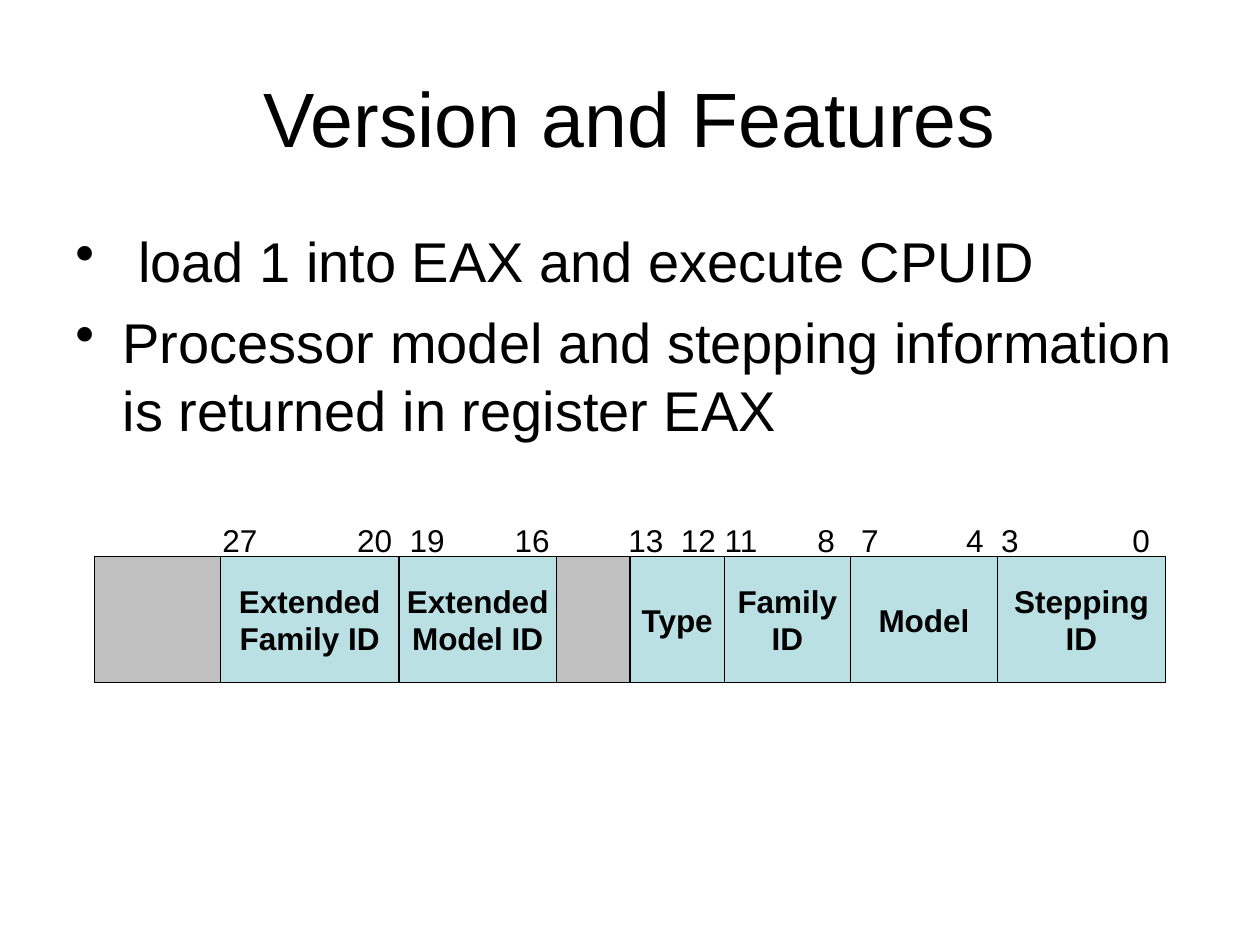
import dataclasses

import pptx
import pptx.dml.color
import pptx.enum.shapes
import pptx.enum.text
import pptx.oxml
import pptx.oxml.ns
import pptx.util

Pt = pptx.util.Pt
RGB = pptx.dml.color.RGBColor.from_string
ALIGN = pptx.enum.text.PP_ALIGN
ANCHOR = pptx.enum.text.MSO_ANCHOR


@dataclasses.dataclass(frozen=True)
class Theme:
    font: str = "Arial"
    ink: str = "000000"
    used: str = "BBE0E3"
    reserved: str = "C0C0C0"
    title: int = 44
    body: int = 32
    label: int = 18
    border: float = 0.75


class RegisterSlide:
    def __init__(self, slide, theme):
        self.slide = slide
        self.theme = theme

    def fill_frame(self, frame, lines, size, bold=False, prepare=None, **paragraph_format):
        """Put lines in a frame; prepare adds XML to each paragraph before its font is set."""
        for index, line in enumerate(lines):
            paragraph = frame.paragraphs[0] if index == 0 else frame.add_paragraph()
            paragraph.text = line
            if prepare:
                prepare(paragraph._p.get_or_add_pPr())
            for name, value in paragraph_format.items():
                if index or name != "space_before":
                    setattr(paragraph, name, value)
            font = {"name": self.theme.font, "size": Pt(size), "bold": bold}
            for name, value in font.items():
                setattr(paragraph.font, name, value)
            paragraph.font.color.rgb = RGB(self.theme.ink)

    def text(self, left, top, width, height, lines, size,
             anchor=ANCHOR.TOP, **options):
        box = self.slide.shapes.add_textbox(Pt(left), Pt(top), Pt(width), Pt(height))
        frame = box.text_frame
        frame.word_wrap = True
        frame.vertical_anchor = anchor
        self.fill_frame(frame, lines, size, **options)

    def bullets(self, left, top, width, height, lines, indent, gap):
        def add_bullet(properties):
            properties.set("marL", str(Pt(indent)))
            properties.set("indent", str(-Pt(indent)))
            add_child(properties, "buChar", char="•")

        self.text(left, top, width, height, lines, self.theme.body,
                  prepare=add_bullet, space_before=Pt(gap))

    def bit_numbers(self, left, top, width, height, numbers, stops):
        """One line of numbers, each after the first at its own tab stop."""
        def add_tabs(properties):
            tabs = add_child(properties, "tabLst")
            for stop in stops:
                add_child(tabs, "tab", pos=str(Pt(stop)), algn="l")

        self.text(left, top, width, height, ["\t".join(map(str, numbers))],
                  self.theme.label, prepare=add_tabs)

    def field(self, left, top, width, height, lines):
        """A register field; one without lines is reserved."""
        cell = self.slide.shapes.add_shape(
            pptx.enum.shapes.MSO_SHAPE.RECTANGLE,
            Pt(left), Pt(top), Pt(width), Pt(height))
        cell.shadow.inherit = False
        cell.fill.solid()
        cell.fill.fore_color.rgb = RGB(self.theme.used if lines else self.theme.reserved)
        cell.line.color.rgb = RGB(self.theme.ink)
        cell.line.width = Pt(self.theme.border)
        cell.text_frame.word_wrap = False
        cell.text_frame.vertical_anchor = ANCHOR.MIDDLE
        self.fill_frame(cell.text_frame, lines, self.theme.label, bold=True,
                        alignment=ALIGN.CENTER)


def add_child(parent, tag, **attributes):
    child = pptx.oxml.parse_xml(f"<a:{tag} {pptx.oxml.ns.nsdecls('a')}/>")
    for name, value in attributes.items():
        child.set(name, value)
    parent.append(child)
    return child


def main():
    deck = pptx.Presentation()
    deck.slide_width, deck.slide_height = Pt(720), Pt(540)
    theme = Theme()
    page = RegisterSlide(deck.slides.add_slide(deck.slide_layouts[6]), theme)

    page.bullets(36, 126, 648, 356, [
        " load 1 into EAX and execute CPUID",
        "Processor model and stepping information is returned in register EAX",
    ], indent=27, gap=8)
    page.text(36, 21.6, 648, 90, ["Version and Features"], theme.title,
              anchor=ANCHOR.MIDDLE, alignment=ALIGN.CENTER)

    fields = [
        (72, []),
        (102, ["Extended", "Family ID"]),
        (90, ["Extended", "Model ID"]),
        (42, []),
        (54, ["Type"]),
        (72, ["Family", "ID"]),
        (84, ["Model"]),
        (96, ["Stepping", "ID"]),
    ]
    left = 54
    for width, lines in fields:
        page.field(left, 318, width, 72, lines)
        left += width

    page.bit_numbers(120, 294, 546, 29,
                     [27, 20, 19, 16, 13, 12, 11, 8, 7, 4, 3, 0],
                     [77, 107, 167, 232, 262, 287, 340, 365, 425, 445, 520])
    deck.save("out.pptx")


if __name__ == "__main__":
    main()
